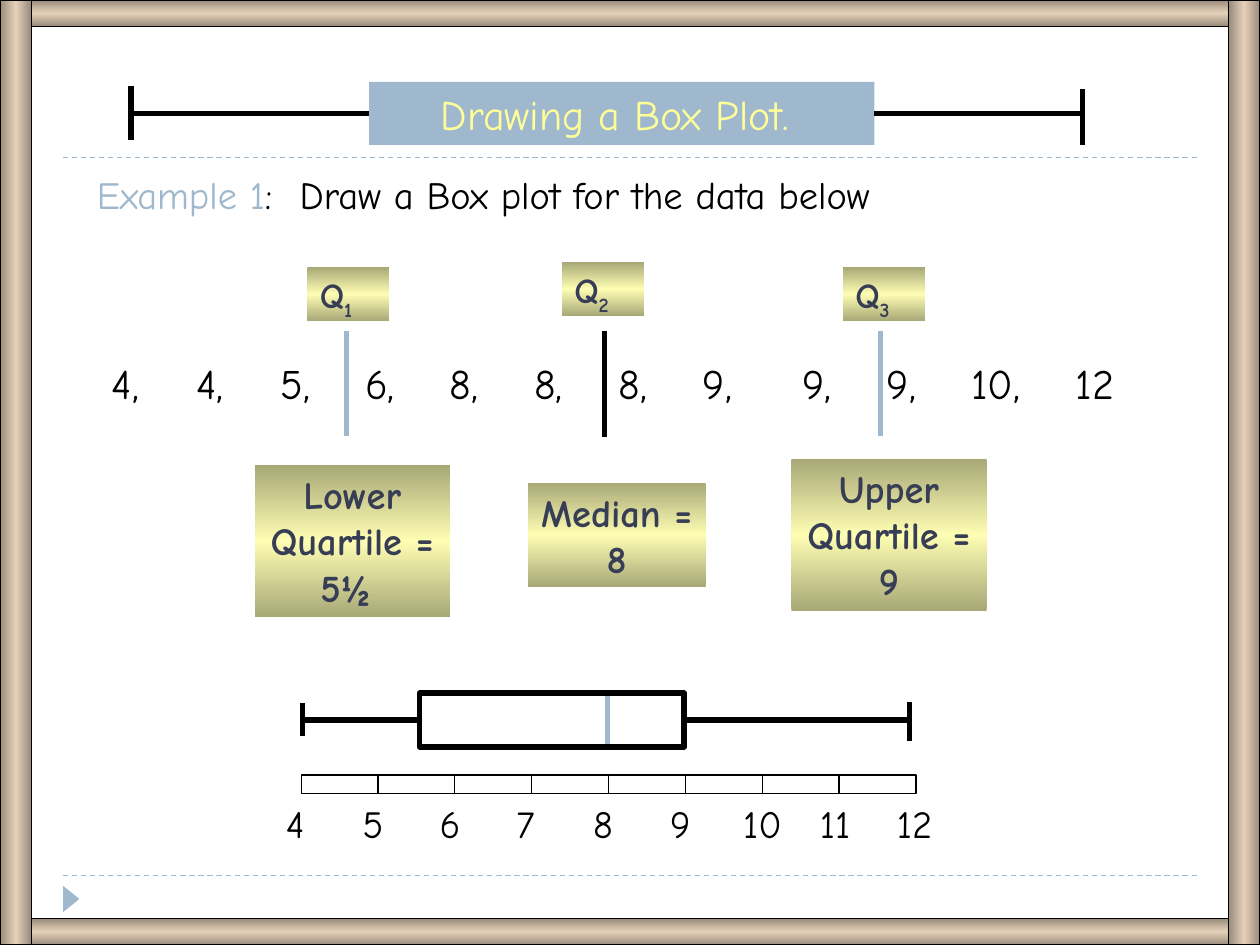
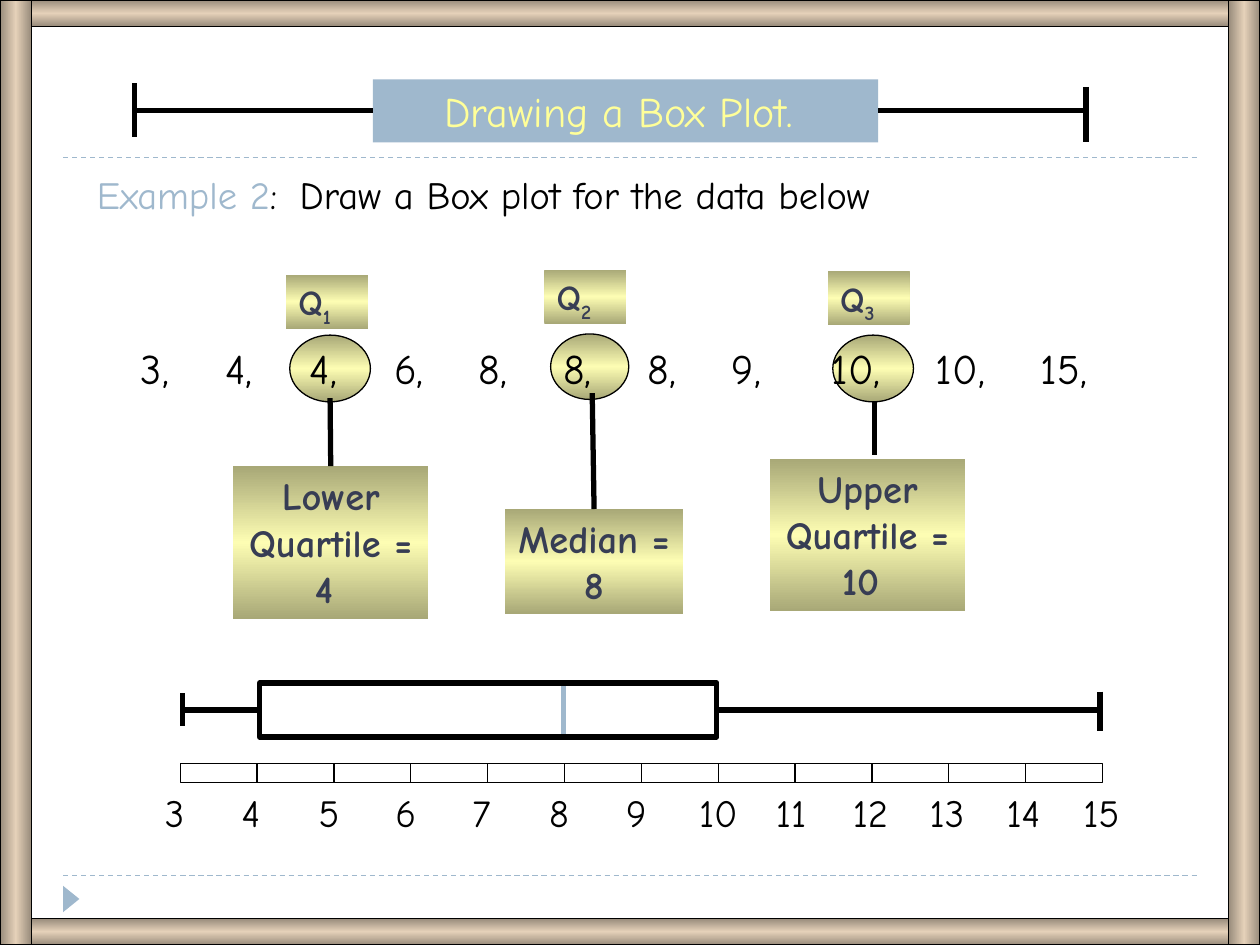
from dataclasses import dataclass
from itertools import accumulate

from lxml import etree
from pptx import Presentation
from pptx.dml.color import RGBColor
from pptx.enum.dml import MSO_LINE
from pptx.enum.shapes import MSO_CONNECTOR, MSO_SHAPE
from pptx.enum.text import MSO_ANCHOR, MSO_AUTO_SIZE, PP_ALIGN
from pptx.oxml.ns import qn
from pptx.shapes.autoshape import Shape
from pptx.shapes.connector import Connector
from pptx.slide import Slide
from pptx.text.text import _Paragraph
from pptx.util import Inches, Pt

FONT = "Comic Neue"
BLACK = RGBColor(0x00, 0x00, 0x00)
BLUE = RGBColor(0x9F, 0xB8, 0xCD)
NAVY = RGBColor(0x37, 0x3D, 0x54)
YELLOW = RGBColor(0xFF, 0xFF, 0x99)
OLIVE = RGBColor(0xA8, 0xA8, 0x77)
CREAM = RGBColor(0xFD, 0xFD, 0xB3)
BROWN = RGBColor(0x98, 0x8B, 0x7B)
TAN = RGBColor(0xE5, 0xD1, 0xB9)

LEFT_SIDE, RIGHT_SIDE = 1, 3
STEP = 0.61
BOX_HEIGHT = 0.43
SCALE_HEIGHT = 0.15
SMALL_LABEL = (1.41, 0.83)
LARGE_LABEL = (1.55, 1.21)


@dataclass
class Quartile:
    number: int
    text: str
    tag: tuple[float, float]
    label: tuple[float, float]
    label_size: tuple[float, float]
    stem: tuple[float, float, float]
    stem_color: RGBColor = BLACK
    ring: tuple[float, float, float, float] | None = None
    joined: bool = False


@dataclass
class BoxPlot:
    low: float
    q1: float
    median: float
    q3: float
    high: float
    top: float
    scale_left: float
    scale_top: float
    first: int
    last: int


@dataclass
class Example:
    number: int
    title_left: float
    title_top: float
    data: list[int]
    data_end: str
    data_left: float
    data_top: float
    quartiles: list[Quartile]
    plot: BoxPlot


def add_line(s: Slide, x1: float, y1: float, x2: float, y2: float,
             color: RGBColor = BLACK, width: float = 3) -> Connector:
    cx = s.shapes.add_connector(MSO_CONNECTOR.STRAIGHT, Inches(x1), Inches(y1),
                                Inches(x2), Inches(y2))
    cx.line.color.rgb = color
    cx.line.width = Pt(width)
    etree.SubElement(cx._element.spPr, qn("a:effectLst"))
    return cx


def add_box(s: Slide, x: float, y: float, w: float, h: float,
            kind: MSO_SHAPE = MSO_SHAPE.RECTANGLE, line_width: float = 0) -> Shape:
    sp = s.shapes.add_shape(kind, Inches(x), Inches(y), Inches(w), Inches(h))
    sp.shadow.inherit = False
    sp.fill.background()
    if line_width:
        sp.line.color.rgb = BLACK
        sp.line.width = Pt(line_width)
    else:
        sp.line.fill.background()
    return sp


def fill_gradient(sp: Shape, edge: RGBColor, middle: RGBColor, angle: int = 90) -> None:
    grad = etree.Element(qn("a:gradFill"), rotWithShape="1")
    stops = etree.SubElement(grad, qn("a:gsLst"))
    for pos, color in ((0, edge), (50, middle), (100, edge)):
        stop = etree.SubElement(stops, qn("a:gs"), pos=str(pos * 1000))
        etree.SubElement(stop, qn("a:srgbClr"), val=str(color))
    etree.SubElement(grad, qn("a:lin"), ang=str(angle * 60000), scaled="0")
    spPr = sp._element.spPr
    spPr.replace(spPr.find(qn("a:noFill")), grad)


def set_font(p: _Paragraph, size: float, color: RGBColor, bold: bool = False) -> None:
    p.font.name = FONT
    p.font.size = Pt(size)
    p.font.color.rgb = color
    p.font.bold = bold


def set_tabs(p: _Paragraph, stops: list[float]) -> None:
    tabs = etree.SubElement(p._p.get_or_add_pPr(), qn("a:tabLst"))
    for stop in stops:
        etree.SubElement(tabs, qn("a:tab"), pos=str(Inches(stop)), algn="l")


def first_paragraph(sp: Shape, align: PP_ALIGN = PP_ALIGN.LEFT) -> _Paragraph:
    tf = sp.text_frame
    tf.word_wrap = True
    tf.auto_size = MSO_AUTO_SIZE.NONE
    tf.vertical_anchor = MSO_ANCHOR.TOP
    p = tf.paragraphs[0]
    p.alignment = align
    return p


def add_text(s: Slide, text: str, x: float, y: float, w: float, h: float,
             size: float = 22, tabs: list[float] | None = None) -> None:
    p = first_paragraph(s.shapes.add_textbox(Inches(x), Inches(y), Inches(w), Inches(h)))
    if tabs:
        set_tabs(p, tabs)
    p.add_run().text = text
    set_font(p, size, BLACK)


def add_whisker(s: Slide, box: Shape, side: int, x: float, top: float, bottom: float) -> None:
    y = (box.top + box.height / 2) / Inches(1)
    cx = add_line(s, x, y, x, y)
    cx.begin_connect(box, side)
    add_line(s, x, top, x, bottom)


def draw_frame(s: Slide) -> None:
    for x, y, w, h, angle in ((0, 0, 10, 0.21, 90), (0, 7.29, 10, 0.21, 90),
                              (0, 0, 0.25, 7.5, 0), (9.75, 0, 0.25, 7.5, 0)):
        fill_gradient(add_box(s, x, y, w, h, line_width=0.75), BROWN, TAN, angle)
    for y in (1.25, 6.95):
        rule = add_line(s, 0.5, y, 9.5, y, BLUE, 0.75)
        rule.line.dash_style = MSO_LINE.DASH
    marker = add_box(s, 0.46, 7.07, 0.21, 0.13, MSO_SHAPE.ISOSCELES_TRIANGLE)
    marker.rotation = 90
    marker.fill.solid()
    marker.fill.fore_color.rgb = BLUE


def draw_title(s: Slide, x: float, y: float) -> None:
    title = s.shapes.title
    title.left, title.top = Inches(x), Inches(y)
    title.width, title.height = Inches(4.01), Inches(0.5)
    title.fill.solid()
    title.fill.fore_color.rgb = BLUE
    p = first_paragraph(title, PP_ALIGN.CENTER)
    p.add_run().text = "Drawing a Box Plot. "
    set_font(p, 24, YELLOW)
    add_whisker(s, title, LEFT_SIDE, x - 1.89, y + 0.03, y + 0.46)
    add_whisker(s, title, RIGHT_SIDE, x + 5.66, y + 0.06, y + 0.5)


def draw_question(s: Slide, number: int) -> None:
    sp = s.shapes.add_textbox(Inches(0.67), Inches(1.31), Inches(9.02), Inches(0.47))
    p = first_paragraph(sp)
    set_tabs(p, [1.61])
    for text, color in ((f"Example {number}", BLUE),
                        (":\tDraw a Box plot for the data below", BLACK)):
        r = p.add_run()
        r.text = text
        r.font.color.rgb = color
    p.font.name = FONT
    p.font.size = Pt(22)


def draw_quartile(s: Slide, q: Quartile) -> None:
    if q.ring:
        fill_gradient(add_box(s, *q.ring, MSO_SHAPE.OVAL, 0.75), OLIVE, CREAM)

    label = add_box(s, *q.label, *q.label_size)
    fill_gradient(label, OLIVE, CREAM)
    p = first_paragraph(label, PP_ALIGN.CENTER)
    p.add_run().text = q.text
    set_font(p, 22, NAVY, True)

    x, top, bottom = q.stem
    stem = add_line(s, x, top, x, bottom, q.stem_color)
    if q.joined:
        stem.end_connect(label, 0)

    tag = add_box(s, *q.tag, 0.65, 0.43)
    fill_gradient(tag, OLIVE, CREAM)
    p = first_paragraph(tag)
    p.add_run().text = "Q"
    r = p.add_run()
    r.text = str(q.number)
    r._r.get_or_add_rPr().set("baseline", "-25000")
    set_font(p, 20, NAVY, True)


def draw_data(s: Slide, ex: Example) -> None:
    gaps = [0.67 + 0.16 * (value > 9) + 0.12 * (i == 7)
            for i, value in enumerate(ex.data[:-1])]
    text = ",\t".join(str(value) for value in ex.data) + ex.data_end
    add_text(s, text, ex.data_left, ex.data_top, 8.75, 0.5, 24, list(accumulate(gaps)))


def draw_plot(s: Slide, plot: BoxPlot) -> None:
    for i, value in enumerate(range(plot.first, plot.last + 1)):
        x = plot.scale_left + i * STEP
        if value < plot.last:
            add_box(s, x, plot.scale_top, STEP, SCALE_HEIGHT, line_width=0.75)
        shift, width = (0.22, 0.42) if value < 10 else (0.25, 0.67)
        add_text(s, str(value), x - shift, plot.scale_top + SCALE_HEIGHT, width, 0.47)

    top = plot.top
    add_line(s, plot.median, top, plot.median, top + BOX_HEIGHT, BLUE)
    box = add_box(s, plot.q1, top, plot.q3 - plot.q1, BOX_HEIGHT, line_width=3)
    add_whisker(s, box, LEFT_SIDE, plot.low, top + 0.08, top + 0.34)
    add_whisker(s, box, RIGHT_SIDE, plot.high, top + 0.07, top + 0.38)


EXAMPLES = [
    Example(
        1, 2.93, 0.65, [4, 4, 5, 6, 8, 8, 8, 9, 9, 9, 10, 12], "", 0.79, 2.79,
        [
            Quartile(1, "Lower Quartile = 5½ ", (2.44, 2.12), (2.02, 3.69), LARGE_LABEL,
                     (2.75, 2.63, 3.46), BLUE),
            Quartile(2, "Median = 8", (4.46, 2.08), (4.19, 3.83), SMALL_LABEL,
                     (4.8, 2.63, 3.47)),
            Quartile(3, "Upper Quartile = 9", (6.69, 2.12), (6.28, 3.64), LARGE_LABEL,
                     (6.99, 2.63, 3.46), BLUE),
        ],
        BoxPlot(2.4, 3.33, 4.82, 5.43, 7.22, 5.5, 2.39, 6.15, 4, 12),
    ),
    Example(
        2, 2.96, 0.63, [3, 4, 4, 6, 8, 8, 8, 9, 10, 10, 15], ",", 1.02, 2.67,
        [
            Quartile(1, "Lower Quartile = 4 ", (2.27, 2.18), (1.85, 3.7), LARGE_LABEL,
                     (2.62, 3.16, 3.69), ring=(2.3, 2.66, 0.64, 0.53), joined=True),
            Quartile(2, "Median = 8", (4.32, 2.14), (4.01, 4.04), SMALL_LABEL,
                     (4.7, 3.12, 4.02), ring=(4.37, 2.65, 0.62, 0.52), joined=True),
            Quartile(3, "Upper Quartile = 10 ", (6.57, 2.15), (6.11, 3.64), LARGE_LABEL,
                     (6.94, 3.18, 3.61), ring=(6.61, 2.66, 0.64, 0.53)),
        ],
        BoxPlot(1.45, 2.06, 4.47, 5.69, 8.73, 5.42, 1.43, 6.06, 3, 15),
    ),
]


def main() -> None:
    prs = Presentation()
    prs.slide_width, prs.slide_height = Inches(10), Inches(7.5)
    for ex in EXAMPLES:
        s = prs.slides.add_slide(prs.slide_layouts[5])
        draw_frame(s)
        draw_title(s, ex.title_left, ex.title_top)
        draw_question(s, ex.number)
        for quartile in ex.quartiles:
            draw_quartile(s, quartile)
        draw_data(s, ex)
        draw_plot(s, ex.plot)
    prs.save("out.pptx")


if __name__ == "__main__":
    main()
